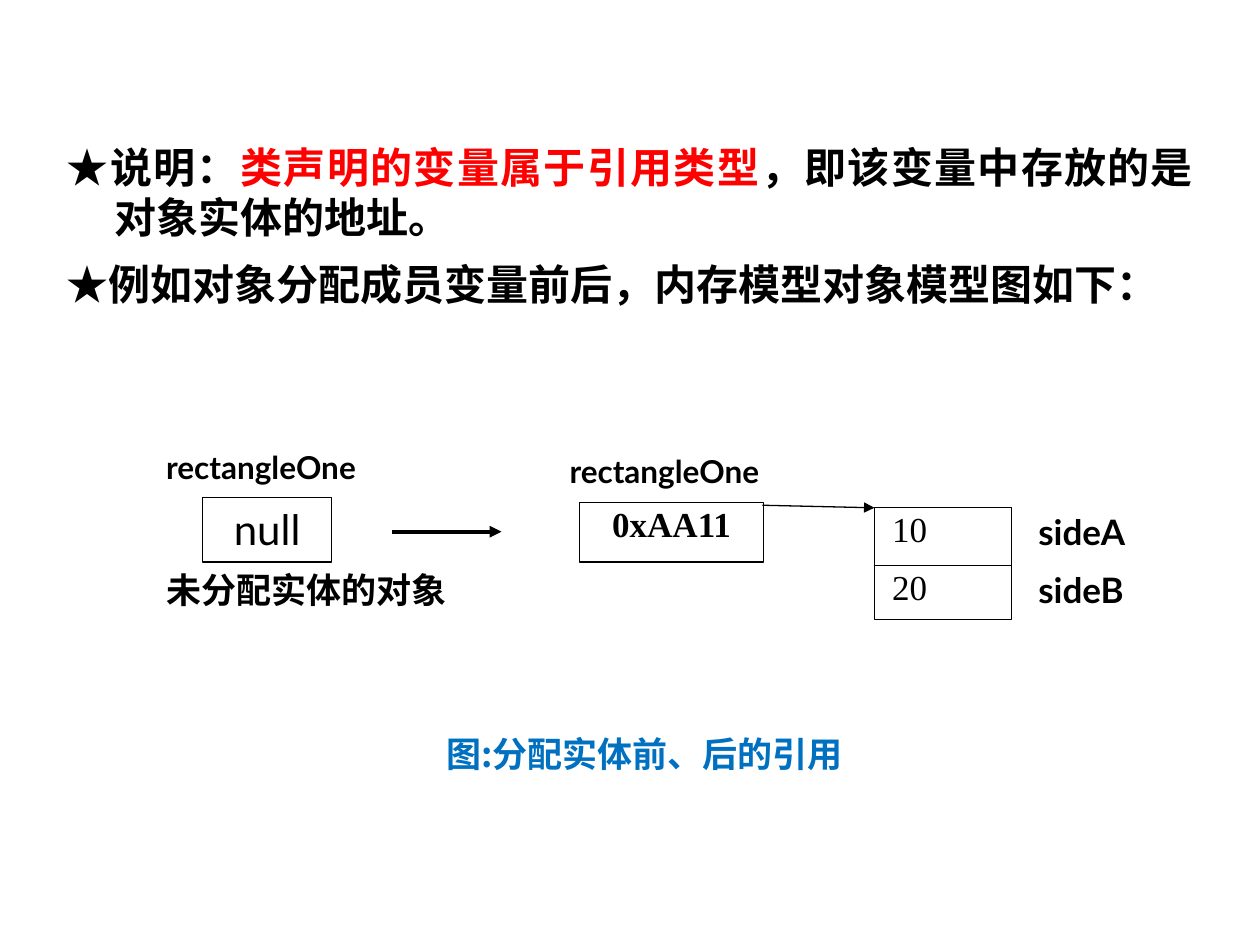
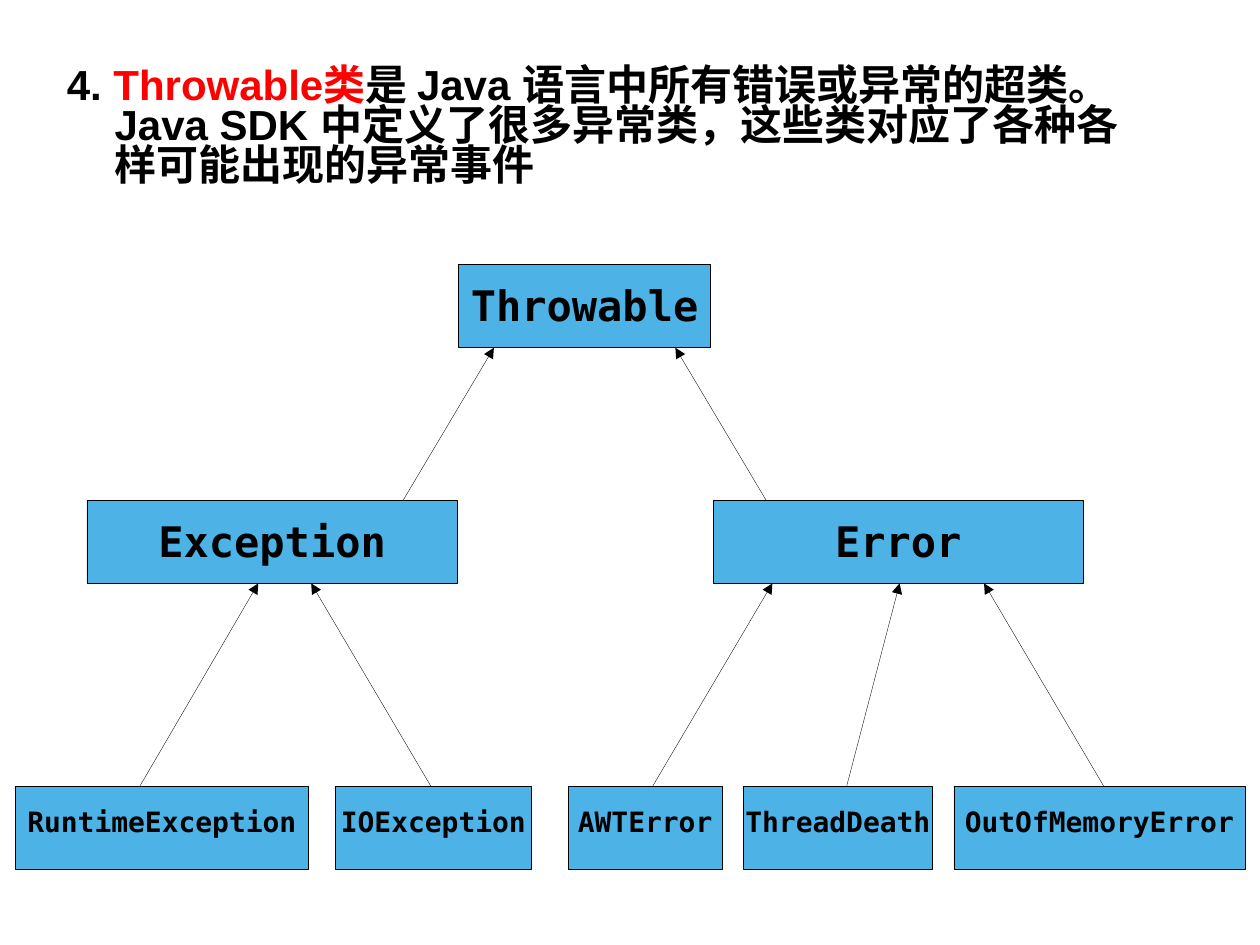
"""Builds two slides: object references in memory and the Throwable class tree."""
from lxml import etree
from pptx import Presentation
from pptx.dml.color import RGBColor
from pptx.enum.shapes import MSO_CONNECTOR, MSO_SHAPE
from pptx.enum.text import MSO_ANCHOR, MSO_AUTO_SIZE, PP_ALIGN
from pptx.oxml.ns import qn
from pptx.util import Inches, Pt

BLACK = RGBColor(0x00, 0x00, 0x00)
WHITE = RGBColor(0xFF, 0xFF, 0xFF)
RED = RGBColor(0xFF, 0x00, 0x00)
CAPTION_BLUE = RGBColor(0x00, 0x70, 0xC0)
NODE_BLUE = RGBColor(0x4D, 0xB3, 0xE6)

SERIF, SANS, LABEL = "Times New Roman", "Arial", "Lato"
MONO, CJK = "DejaVu Sans Mono", "Noto Sans CJK SC"

LEFT, CENTER, JUSTIFY = PP_ALIGN.LEFT, PP_ALIGN.CENTER, PP_ALIGN.JUSTIFY
TOP, NO_FIT = MSO_ANCHOR.TOP, MSO_AUTO_SIZE.NONE
RECT, STRAIGHT = MSO_SHAPE.RECTANGLE, MSO_CONNECTOR.STRAIGHT

HANG = 0.38
NODE_H = 0.66


def write(p, text, size=20, font=LABEL, color=BLACK, bold=True):
    r = p.add_run()
    r.text = text
    r.font.size = Pt(size)
    r.font.name = font
    r.font.bold = bold
    r.font.color.rgb = color
    etree.SubElement(r.font._element, qn("a:ea"), typeface=CJK)


class Deck:
    def __init__(self):
        self.prs = Presentation()
        self.prs.slide_width = Inches(10)
        self.prs.slide_height = Inches(7.5)
        self.s = None

    def new_slide(self):
        self.s = self.prs.slides.add_slide(self.prs.slide_layouts[1])
        title = self.s.shapes.title
        title._element.getparent().remove(title._element)

    def place(self, sp, x, y, w, h):
        sp.left, sp.top, sp.width, sp.height = map(Inches, (x, y, w, h))

    def body(self, at, paragraphs, align, spacing=1.0, after=0):
        sp = self.s.placeholders[1]
        self.place(sp, *at)
        tf = sp.text_frame
        tf.auto_size = NO_FIT
        for i, runs in enumerate(paragraphs):
            p = tf.add_paragraph() if i else tf.paragraphs[0]
            pPr = p._p.get_or_add_pPr()
            pPr.set("marL", str(Inches(HANG)))
            pPr.set("indent", str(-Inches(HANG)))
            etree.SubElement(pPr, qn("a:buNone"))
            p.alignment = align
            p.line_spacing = spacing
            p.space_before = Pt(4.8 if i else 0)
            p.space_after = Pt(after)
            for text, style in runs:
                write(p, text, size=24, **style)

    def frame(self, sp, text, align, spacing, insets, **style):
        tf = sp.text_frame
        tf.word_wrap = True
        tf.vertical_anchor = TOP
        tf.margin_left = tf.margin_right = Inches(insets[0])
        tf.margin_top = tf.margin_bottom = Inches(insets[1])
        p = tf.paragraphs[0]
        p.alignment = align
        p.line_spacing = spacing
        write(p, text, **style)

    def box(self, at, text, fill=WHITE, line=None, align=JUSTIFY, spacing=1.0,
            insets=(0, 0), **style):
        sp = self.s.shapes.add_shape(RECT, *map(Inches, at))
        sp.shadow.inherit = False
        sp.fill.solid()
        sp.fill.fore_color.rgb = fill
        if line:
            sp.line.color.rgb = BLACK
            sp.line.width = Pt(line)
        else:
            sp.line.fill.background()
        self.frame(sp, text, align, spacing, insets, **style)

    def label(self, at, text, **style):
        sp = self.s.shapes.add_textbox(*map(Inches, at))
        self.frame(sp, text, LEFT, 1.0, (0.1, 0.05), **style)

    def node(self, x, y, w, text, size):
        self.box((x, y, w, NODE_H), text, fill=NODE_BLUE, line=0.2, align=CENTER,
                 spacing=0.8, insets=(0, 0.2), size=size, font=MONO)

    def arrow(self, x1, y1, x2, y2, width):
        line = self.s.shapes.add_connector(STRAIGHT, *map(Inches, (x1, y1, x2, y2)))
        line.line.color.rgb = BLACK
        line.line.width = Pt(width)
        etree.SubElement(line.line._get_or_add_ln(), qn("a:tailEnd"), type="triangle")
        etree.SubElement(line._element.spPr, qn("a:effectLst"))


def reference_slide(deck):
    deck.new_slide()
    star = ("★", {"font": SANS, "bold": False})
    bold_star = ("★", {"font": SANS})
    serif = {"font": SERIF}
    deck.body((0.43, 1.07, 9.14, 1.96), [
        [star, ("说明：", serif),
         ("类声明的变量属于引用类型", {"font": SERIF, "color": RED}),
         ("，即该变量中存放的是对象实体的地址。", serif)],
        [bold_star, ("例如对象分配成员变量前后，内存模型对象模型图如下：", serif)],
    ], JUSTIFY, after=4.8)

    deck.box((3.54, 5.81, 3.23, 0.31), "图:分配实体前、后的引用",
             font=CJK, color=CAPTION_BLUE)

    for y, h, value, field in ((4.03, 0.46, "10", "sideA"), (4.49, 0.43, "20", "sideB")):
        deck.box((6.94, y, 1.09, h), value, line=0.75, insets=(0.14, 0),
                 font=SERIF, bold=False)
        deck.box((8.24, y + 0.02, 1.09, h), field)

    deck.box((4.52, 3.59, 1.98, 0.39), "rectangleOne", size=18)
    deck.box((4.6, 3.99, 1.46, 0.47), "0xAA11", line=0.75, align=CENTER, font=SERIF)
    deck.arrow(6.05, 4.01, 6.94, 4.03, 0.75)

    deck.label((1.22, 3.51, 2.12, 0.4), "rectangleOne", size=18)
    deck.box((1.61, 3.95, 1.02, 0.51), "null", line=0.75, align=CENTER,
             insets=(0.1, 0.05), size=24, bold=False)
    deck.label((1.22, 4.46, 2.44, 0.43), "未分配实体的对象")
    deck.arrow(3.11, 4.22, 3.98, 4.22, 2.25)


def throwable_slide(deck):
    deck.new_slide()
    sans = {"font": SANS}
    deck.body((0.43, 0.49, 8.74, 1.21), [[
        ("4. ", sans),
        ("Throwable类", {"font": SANS, "color": RED}),
        ("是 Java 语言中所有错误或异常的超类。Java SDK 中定义了很多异常类，"
         "这些类对应了各种各样可能出现的异常事件", sans),
    ]], LEFT, spacing=0.8)

    root_y, branch_y, leaf_y = 2.1, 3.97, 6.24
    deck.node(3.64, root_y, 2, "Throwable", 24)
    for x, name in ((0.69, "Exception"), (5.66, "Error")):
        deck.node(x, branch_y, 2.94, name, 24)
    for x, w, name in ((0.12, 2.33, "RuntimeException"), (2.66, 1.56, "IOException"),
                       (4.51, 1.22, "AWTError"), (5.9, 1.5, "ThreadDeath"),
                       (7.57, 2.31, "OutOfMemoryError")):
        deck.node(x, leaf_y, w, name, 16)

    for child_x, parent_x in ((3.2, 3.92), (6.08, 5.36)):
        deck.arrow(child_x, branch_y, parent_x, root_y + NODE_H, 0.2)
    for child_x, parent_x in ((1.11, 2.05), (3.42, 2.47), (5.18, 6.13),
                              (6.72, 7.14), (8.76, 7.81)):
        deck.arrow(child_x, leaf_y, parent_x, branch_y + NODE_H, 0.2)


def main():
    deck = Deck()
    reference_slide(deck)
    throwable_slide(deck)
    deck.prs.save("out.pptx")


if __name__ == "__main__":
    main()
